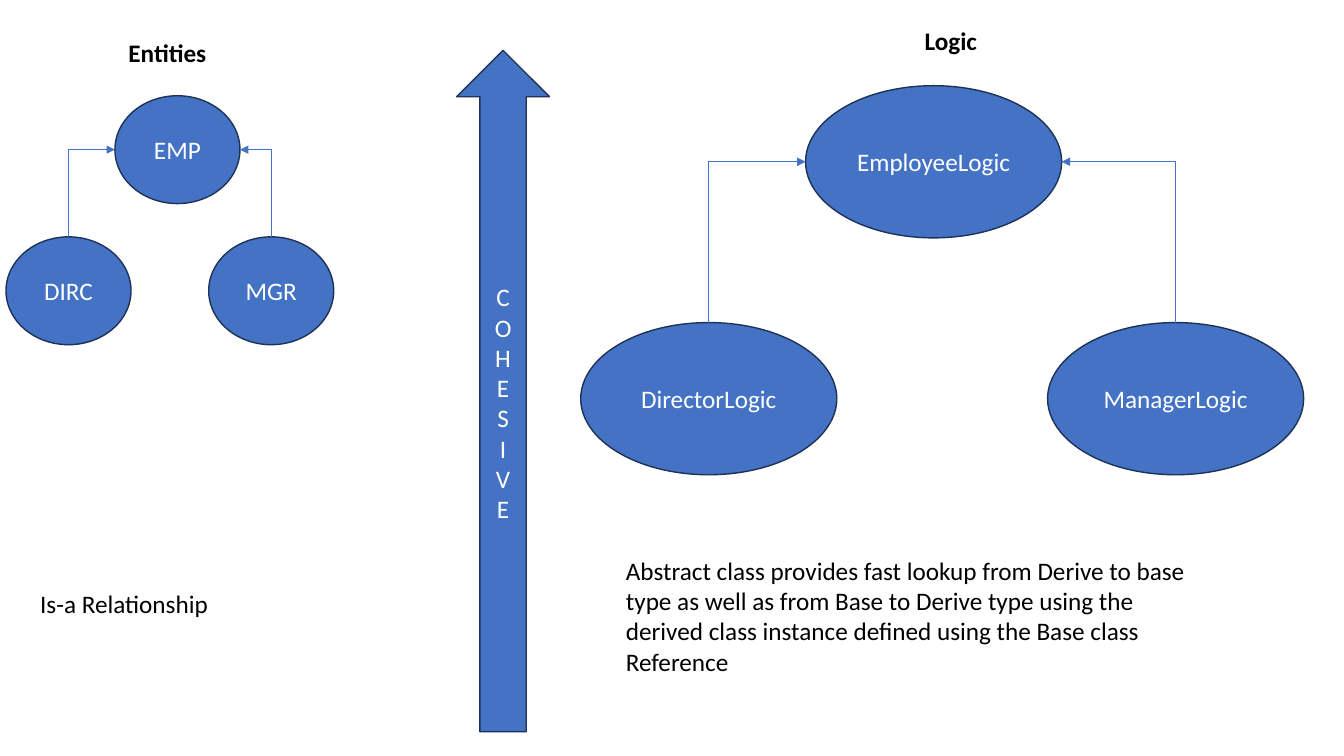
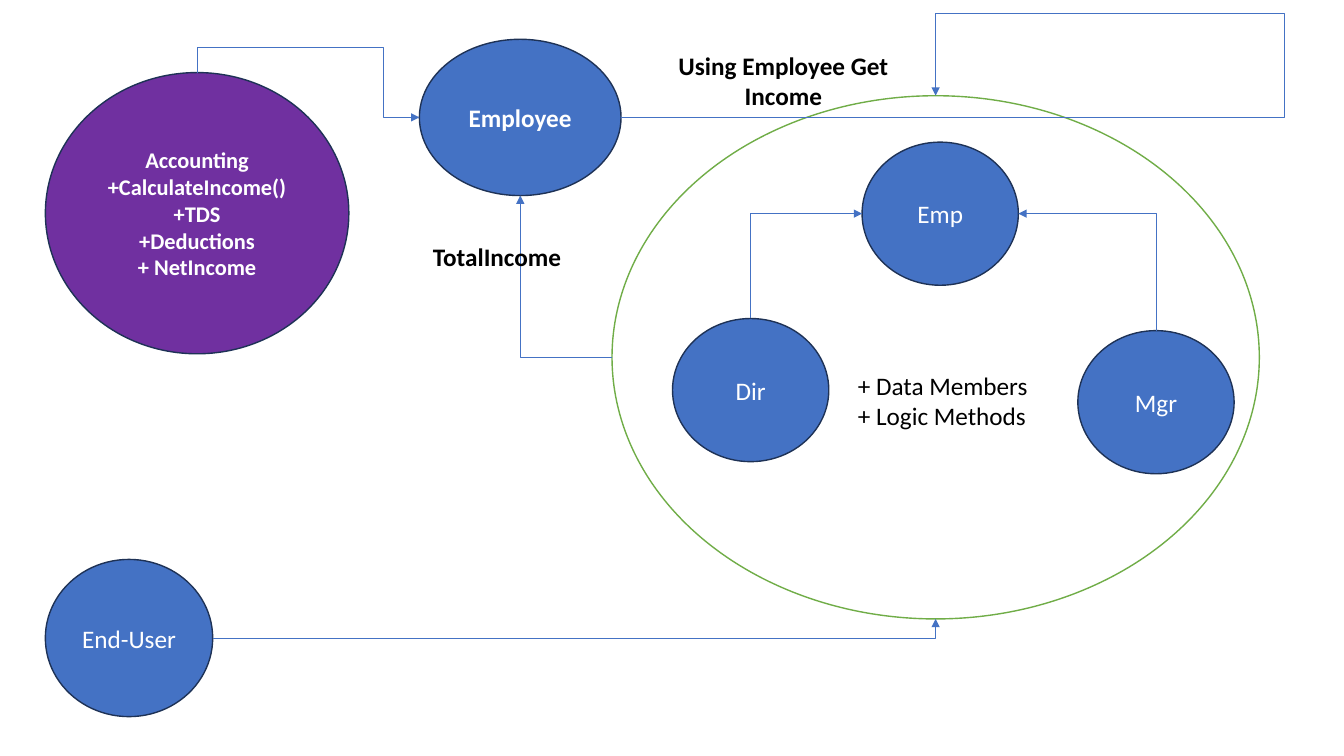
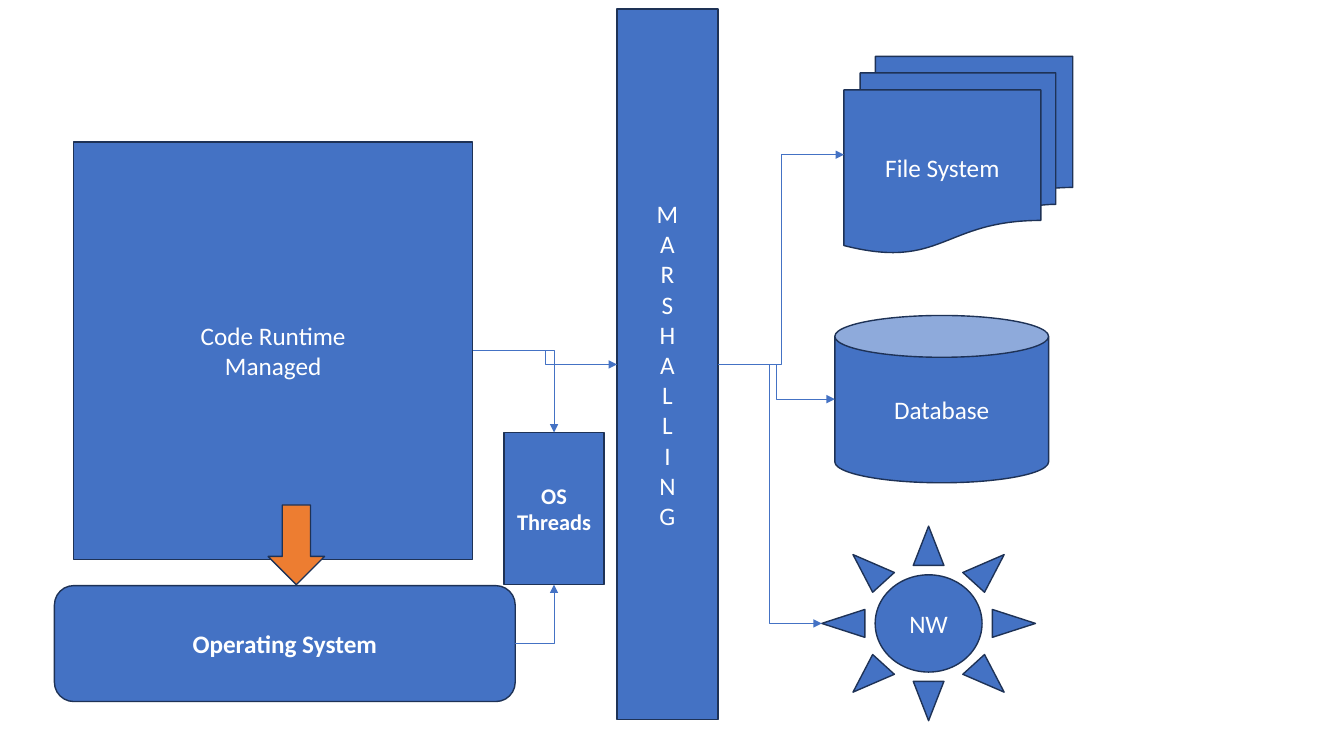
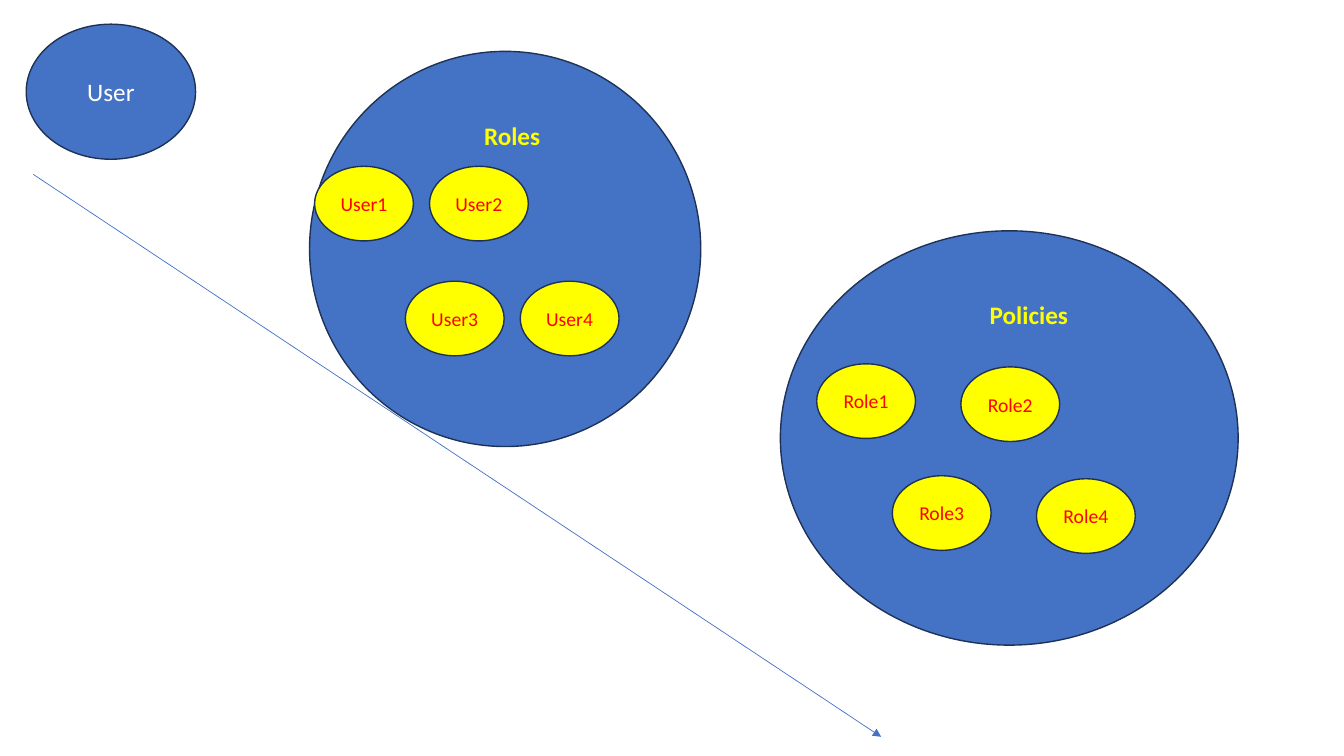
from lxml.etree import SubElement
from pptx import Presentation
from pptx.dml.color import RGBColor
from pptx.enum.shapes import MSO_CONNECTOR, MSO_SHAPE
from pptx.enum.text import MSO_ANCHOR, PP_ALIGN
from pptx.oxml.ns import qn
from pptx.util import Inches, Pt

FONT = "Calibri"
BLUE = RGBColor(0x44, 0x72, 0xC4)
NAVY = RGBColor(0x1E, 0x32, 0x56)
GREEN = RGBColor(0x70, 0xAD, 0x47)
PURPLE = RGBColor(0x70, 0x30, 0xA0)
ORANGE = RGBColor(0xED, 0x7D, 0x31)
YELLOW = RGBColor(0xFF, 0xFF, 0x00)
RED = RGBColor(0xFF, 0x00, 0x00)
WHITE = RGBColor(0xFF, 0xFF, 0xFF)
BLACK = RGBColor(0x00, 0x00, 0x00)

# Sides of a shape, counter-clockwise like its connection sites
TOP, LEFT, BOTTOM, RIGHT = range(4)


def add_block(slide, kind, box, text="", fill=BLUE, edge=NAVY, color=WHITE, size=18, bold=False):
    block = slide.shapes.add_shape(kind, *map(Inches, box))
    block.shadow.inherit = False
    block.fill.solid()
    block.fill.fore_color.rgb = fill
    block.line.color.rgb = edge
    block.line.width = Pt(1)
    block.text_frame.text = text
    block.text_frame.vertical_anchor = MSO_ANCHOR.MIDDLE
    for paragraph in block.text_frame.paragraphs:
        paragraph.alignment = PP_ALIGN.CENTER
        paragraph.font.name = FONT
        paragraph.font.size = Pt(size)
        paragraph.font.bold = bold
        paragraph.font.color.rgb = color
    return block


def add_arrow(slide, kind, start, end):
    arrow = slide.shapes.add_connector(kind, *start, *end)
    arrow.line.color.rgb = BLUE
    arrow.line.width = Pt(0.5)
    SubElement(arrow.line._get_or_add_ln(), qn("a:tailEnd"), type="triangle")
    SubElement(arrow._element.spPr, qn("a:effectLst"))
    return arrow


prs = Presentation()
prs.slide_width, prs.slide_height = Inches(13.33), Inches(7.5)
blank = prs.slide_layouts[6]
cohesion, accounting, runtime, access = [prs.slides.add_slide(blank) for _ in range(4)]
OVAL = MSO_SHAPE.OVAL

# Elbow arrows: slide, source, side left, target, side entered, bends of longer routes
elbows = []

# Slide 1: entity and logic class trees
class_trees = [
    ((1.24, 1.07), [("EMP", 1.14, 0.95), ("DIRC", 0.06, 2.35), ("MGR", 2.07, 2.35)]),
    ((2.54, 1.51), [("EmployeeLogic", 7.99, 0.85), ("DirectorLogic", 5.76, 3.2),
                    ("ManagerLogic", 10.39, 3.2)]),
]
for size, members in class_trees:
    base, director, manager = [
        add_block(cohesion, OVAL, (x, y, *size), name) for name, x, y in members]
    elbows += [(cohesion, director, TOP, base, LEFT, ()),
               (cohesion, manager, TOP, base, RIGHT, ())]
add_block(cohesion, MSO_SHAPE.UP_ARROW, (4.53, 0.5, 0.92, 6.76), "\n".join("COHESIVE"))

# Slide 2: accounting uses the employee tree
employee_types = add_block(accounting, OVAL, (6.07, 0.95, 6.42, 5.19), fill=WHITE, edge=GREEN)
emp, mgr, director = [
    add_block(accounting, OVAL, (x, y, 1.55, 1.42), name)
    for name, x, y in [("Emp", 8.55, 1.41), ("Mgr", 10.69, 3.28), ("Dir", 6.67, 3.16)]]
end_user = add_block(accounting, OVAL, (0.45, 5.55, 1.66, 1.56), "End-User")
ledger = add_block(
    accounting, OVAL, (0.45, 0.72, 3.01, 2.79),
    "Accounting\n+CalculateIncome()\n+TDS\n+Deductions\n+ NetIncome",
    fill=PURPLE, size=16, bold=True)
employee = add_block(accounting, OVAL, (4.16, 0.39, 2, 1.55), "Employee", bold=True)
elbows += [
    (accounting, director, TOP, emp, LEFT, ()),
    (accounting, mgr, TOP, emp, RIGHT, ()),
    (accounting, end_user, RIGHT, employee_types, BOTTOM, ()),
    (accounting, ledger, TOP, employee, LEFT, (-0.57, 0.84)),
    (accounting, employee, RIGHT, employee_types, TOP, (2.11, 4.79)),
    (accounting, employee_types, LEFT, employee, BOTTOM, ()),
]

# Slide 3: runtime, marshalling and outside resources
managed = add_block(runtime, MSO_SHAPE.RECTANGLE, (0.73, 1.41, 3.96, 4.14),
                    "Code Runtime\nManaged")
resources = [
    add_block(runtime, kind, box, name) for kind, box, name in [
        (MSO_SHAPE.FLOWCHART_MULTIDOCUMENT, (8.37, 0.56, 2.27, 1.95), "File System"),
        (MSO_SHAPE.CAN, (8.28, 3.13, 2.12, 1.66), "Database"),
        (MSO_SHAPE.SUN, (8.15, 5.22, 2.12, 1.93), "NW")]]
operating_system = add_block(runtime, MSO_SHAPE.ROUNDED_RECTANGLE, (0.54, 5.81, 4.57, 1.15),
                             "Operating System", bold=True)
add_block(runtime, MSO_SHAPE.DOWN_ARROW, (2.66, 5.01, 0.56, 0.79), fill=ORANGE)
marshalling = add_block(runtime, MSO_SHAPE.RECTANGLE, (6.12, 0.09, 1, 7.05),
                        "\n".join("MARSHALLING"))
threads = add_block(runtime, MSO_SHAPE.RECTANGLE, (5, 4.29, 0.99, 1.51), "OS\nThreads",
                    size=16, bold=True)
elbows += [(runtime, marshalling, RIGHT, resource, LEFT, ()) for resource in resources]
elbows += [
    (runtime, managed, RIGHT, marshalling, LEFT, ()),
    (runtime, operating_system, RIGHT, threads, BOTTOM, ()),
    (runtime, managed, RIGHT, threads, TOP, ()),
]

# Slide 4: users, roles and policies
add_block(access, OVAL, (0.26, 0.24, 1.68, 1.34), "User")
groups = [
    ((3.07, 0.51, 3.88, 3.92), "User", [(3.12, 1.65), (4.26, 1.65), (4.02, 2.79), (5.16, 2.79)]),
    ((7.74, 2.29, 4.54, 4.11), "Role", [(8.1, 3.61), (9.53, 3.64), (8.85, 4.72), (10.28, 4.75)]),
]
for group_box, member, places in groups:
    add_block(access, OVAL, group_box)
    for number, (x, y) in enumerate(places, 1):
        add_block(access, OVAL, (x, y, 0.98, 0.74), f"{member}{number}",
                  fill=YELLOW, color=RED, size=14)
add_arrow(access, MSO_CONNECTOR.STRAIGHT,
          (Inches(0.33), Inches(1.73)), (Inches(8.74), Inches(7.31)))

# Elbow arrows, each turned so that it leaves its source at a right angle
for slide, source, leaving, target, entering, bends in elbows:
    (x1, y1), (x2, y2) = [
        (shape.left + shape.width * {LEFT: 0, RIGHT: 2}.get(side, 1) // 2,
         shape.top + shape.height * {TOP: 0, BOTTOM: 2}.get(side, 1) // 2)
        for shape, side in ((source, leaving), (target, entering))]
    elbow = add_arrow(slide, MSO_CONNECTOR.ELBOW, (x1, y1), (x2, y2))
    dx, dy = x2 - x1, y2 - y1
    along, across = {RIGHT: (dx, dy), LEFT: (-dx, -dy), TOP: (-dy, dx)}[leaving]
    turn, flip_h, flip_v = (270 - 90 * leaving) % 360, along < 0, across < 0
    if turn == 270 and not (flip_h or flip_v):
        turn, flip_h, flip_v = 90, True, True
    elbow.width, elbow.height = abs(along), abs(across)
    elbow.left = (x1 + x2 - abs(along)) // 2
    elbow.top = (y1 + y2 - abs(across)) // 2
    properties = elbow._element.spPr
    properties.xfrm.rot = turn
    properties.xfrm.flipH, properties.xfrm.flipV = flip_h, flip_v

    # Number of segments and places of the bends
    perpendicular = (leaving - entering) % 2
    segments = 4 if bends else 2 if perpendicular else 3
    properties.prstGeom.set("prst", f"bentConnector{segments}")
    guides = properties.prstGeom.get_or_add_avLst()
    for number, bend in enumerate(bends, 1):
        SubElement(guides, qn("a:gd"), name=f"adj{number}", fmla=f"val {round(bend * 100000)}")

    # Join both ends; ovals and cans have a site between two sides
    joints = elbow._element.nvCxnSpPr.cNvCxnSpPr
    for joint, shape, side in ((joints.get_or_add_stCxn(), source, leaving),
                               (joints.get_or_add_endCxn(), target, entering)):
        joint.id = shape.shape_id
        joint.idx = side * 2 if shape.auto_shape_type in (OVAL, MSO_SHAPE.CAN) else side

# Labels on all slides
labels = [
    (cohesion, (0.42, 0.32, 2.48, 0.4), "Entities", PP_ALIGN.CENTER, True, BLACK),
    (cohesion, (7.79, 0.2, 3.28, 0.4), "Logic", PP_ALIGN.CENTER, True, BLACK),
    (cohesion, (0.3, 5.79, 5.46, 0.4), "Is-a Relationship", PP_ALIGN.LEFT, False, BLACK),
    (cohesion, (6.11, 5.46, 5.9, 1.31),
     "Abstract class provides fast lookup from Derive to base type as well as from Base to "
     "Derive type using the derived class instance defined using the Base class Reference",
     PP_ALIGN.LEFT, False, BLACK),
    (accounting, (8.41, 3.62, 2.13, 0.71), "+ Data Members\n+ Logic Methods",
     PP_ALIGN.LEFT, False, BLACK),
    (accounting, (3.66, 2.34, 2.54, 0.4), "TotalIncome", PP_ALIGN.CENTER, True, BLACK),
    (accounting, (6.5, 0.45, 2.54, 0.71), "Using Employee Get Income",
     PP_ALIGN.CENTER, True, BLACK),
    (access, (3.83, 1.14, 2.5, 0.4), "Roles", PP_ALIGN.CENTER, True, YELLOW),
    (access, (8.74, 2.92, 2.93, 0.4), "Policies", PP_ALIGN.CENTER, True, YELLOW),
]
for slide, box, text, alignment, bold, color in labels:
    frame = slide.shapes.add_textbox(*map(Inches, box)).text_frame
    frame.word_wrap = True
    frame.text = text
    for paragraph in frame.paragraphs:
        paragraph.alignment = alignment
        paragraph.font.name = FONT
        paragraph.font.size = Pt(18)
        paragraph.font.bold = bold
        paragraph.font.color.rgb = color

prs.save("out.pptx")
